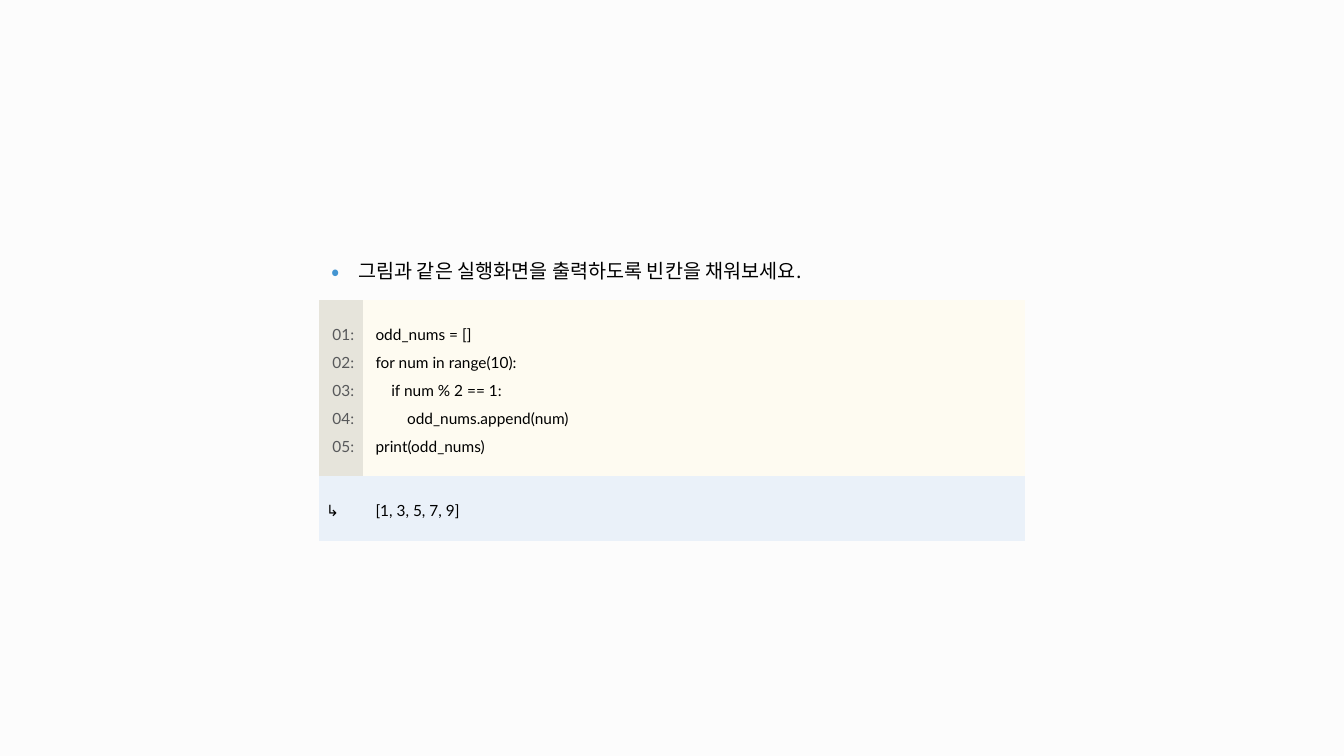
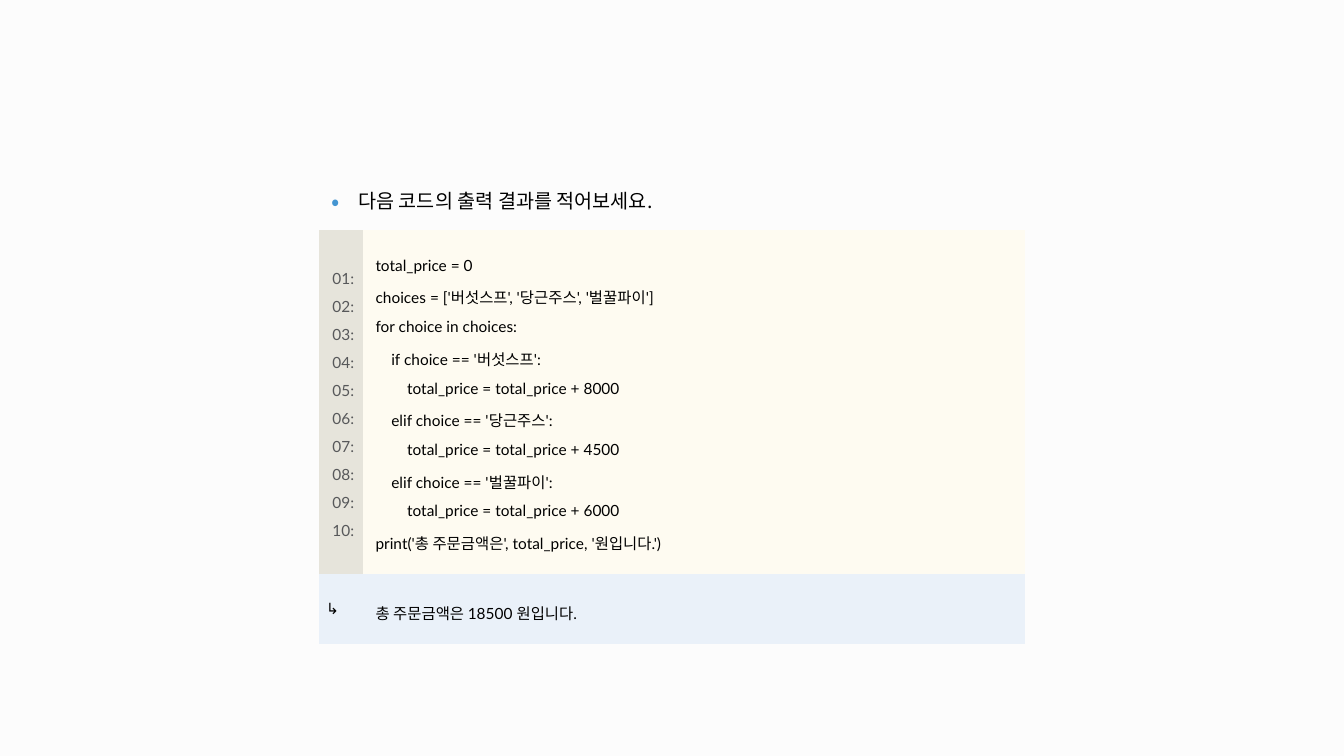
from lxml import etree
from pptx import Presentation
from pptx.dml.color import RGBColor
from pptx.enum.text import MSO_ANCHOR, PP_ALIGN
from pptx.oxml.ns import qn
from pptx.util import Inches, Pt

TOP, MIDDLE = MSO_ANCHOR.TOP, MSO_ANCHOR.MIDDLE
LEFT, CENTER = PP_ALIGN.LEFT, PP_ALIGN.CENTER
KOREAN, LATIN = "Noto Sans CJK KR", "Lato"
PAPER, INK, BULLET = "FCFCFC", "000000", "4495D1"
GUTTER, GUTTER_INK, CODE, OUTPUT = "E6E4DB", "57585A", "FEFBF1", "EAF1F9"
NO_GRID_STYLE = "{2D5ABB26-0587-4C30-8999-92F81FD0307C}"
SLIDE_WIDTH, SLIDE_HEIGHT = 13.33, 7.5
COLUMNS = (0.44, 6.56)
PROMPT_HEIGHT = 0.62
HANGING = Inches(0.27)
PROMPT_INSETS = (0.12, 0.04, 0, 0.16)
GUTTER_INSETS = (0.04, 0.04, 0, 0.08)
ARROW_INSETS = (0.07, 0.16, 0, 0.2)
CODE_INSETS = (0.12, 0.16, 0, 0.2)

exercises = [
    {
        "top": 2.35,
        "code_height": 1.74,
        "output_height": 0.64,
        "prompt": "그림과 같은 실행화면을 출력하도록 빈칸을 채워보세요.",
        "code": [
            "odd_nums = []",
            "for num in range(10):",
            "    if num % 2 == 1:",
            "        odd_nums.append(num)",
            "print(odd_nums)",
        ],
        "output": "[1, 3, 5, 7, 9]",
    },
    {
        "top": 1.66,
        "code_height": 3.4,
        "output_height": 0.69,
        "prompt": "다음 코드의 출력 결과를 적어보세요.",
        "code": [
            "total_price = 0",
            "choices = ['버섯스프', '당근주스', '벌꿀파이']",
            "for choice in choices:",
            "    if choice == '버섯스프':",
            "        total_price = total_price + 8000",
            "    elif choice == '당근주스':",
            "        total_price = total_price + 4500",
            "    elif choice == '벌꿀파이':",
            "        total_price = total_price + 6000",
            "print('총 주문금액은', total_price, '원입니다.')",
        ],
        "output": "총 주문금액은 18500 원입니다.",
    },
]


def paint(fill, color):
    fill.solid()
    fill.fore_color.rgb = RGBColor.from_string(color)


def write_cell(cell, lines, background, insets, color=INK, size=11,
               font=LATIN, align=LEFT, anchor=MIDDLE):
    if background:
        paint(cell.fill, background)
    else:
        cell.fill.background()
    cell.margin_left, cell.margin_top, cell.margin_right, cell.margin_bottom = map(Inches, insets)
    cell.vertical_anchor = anchor
    cell.text_frame.text = "\n".join(lines)
    for paragraph in cell.text_frame.paragraphs:
        paragraph.alignment = align
        paragraph.line_spacing = 1.5
        for run in paragraph.runs:
            run.font.size = Pt(size)
            run.font.name = font
            run.font.bold = False
            paint(run.font.fill, color)
            east_asian = etree.SubElement(run.font._element, qn("a:ea"))
            east_asian.set("typeface", KOREAN)


prs = Presentation()
prs.slide_width, prs.slide_height = Inches(SLIDE_WIDTH), Inches(SLIDE_HEIGHT)
paint(prs.slide_master.background.fill, PAPER)
blank_layout = prs.slide_layouts[6]

for exercise in exercises:
    slide = prs.slides.add_slide(blank_layout)
    row_heights = (PROMPT_HEIGHT, exercise["code_height"], exercise["output_height"])
    width = sum(COLUMNS)
    listing = slide.shapes.add_table(
        len(row_heights), len(COLUMNS),
        Inches((SLIDE_WIDTH - width) / 2), Inches(exercise["top"]),
        Inches(width), Inches(sum(row_heights)),
    ).table
    listing.first_row = listing.horz_banding = False
    listing._tbl.tblPr.find(qn("a:tableStyleId")).text = NO_GRID_STYLE
    for column, column_width in zip(listing.columns, COLUMNS):
        column.width = Inches(column_width)
    for row, row_height in zip(listing.rows, row_heights):
        row.height = Inches(row_height)

    prompt = listing.cell(0, 0)
    prompt.merge(listing.cell(0, 1))
    write_cell(prompt, [exercise["prompt"]], None, PROMPT_INSETS, size=14, font=KOREAN)
    prompt_format = prompt.text_frame.paragraphs[0]._p.get_or_add_pPr()
    prompt_format.set("marL", str(HANGING))
    prompt_format.set("indent", str(-HANGING))
    bullet_color = etree.SubElement(prompt_format, qn("a:buClr"))
    etree.SubElement(bullet_color, qn("a:srgbClr")).set("val", BULLET)
    etree.SubElement(prompt_format, qn("a:buSzPct")).set("val", "125000")
    etree.SubElement(prompt_format, qn("a:buFont")).set("typeface", KOREAN)
    etree.SubElement(prompt_format, qn("a:buChar")).set("char", "•")

    numbers = [f"{number:02}:" for number in range(1, len(exercise["code"]) + 1)]
    write_cell(listing.cell(1, 0), numbers, GUTTER, GUTTER_INSETS, color=GUTTER_INK, align=CENTER)
    write_cell(listing.cell(1, 1), exercise["code"], CODE, CODE_INSETS)
    write_cell(listing.cell(2, 0), ["↳"], OUTPUT, ARROW_INSETS, anchor=TOP)
    write_cell(listing.cell(2, 1), [exercise["output"]], OUTPUT, CODE_INSETS)

prs.save("out.pptx")
